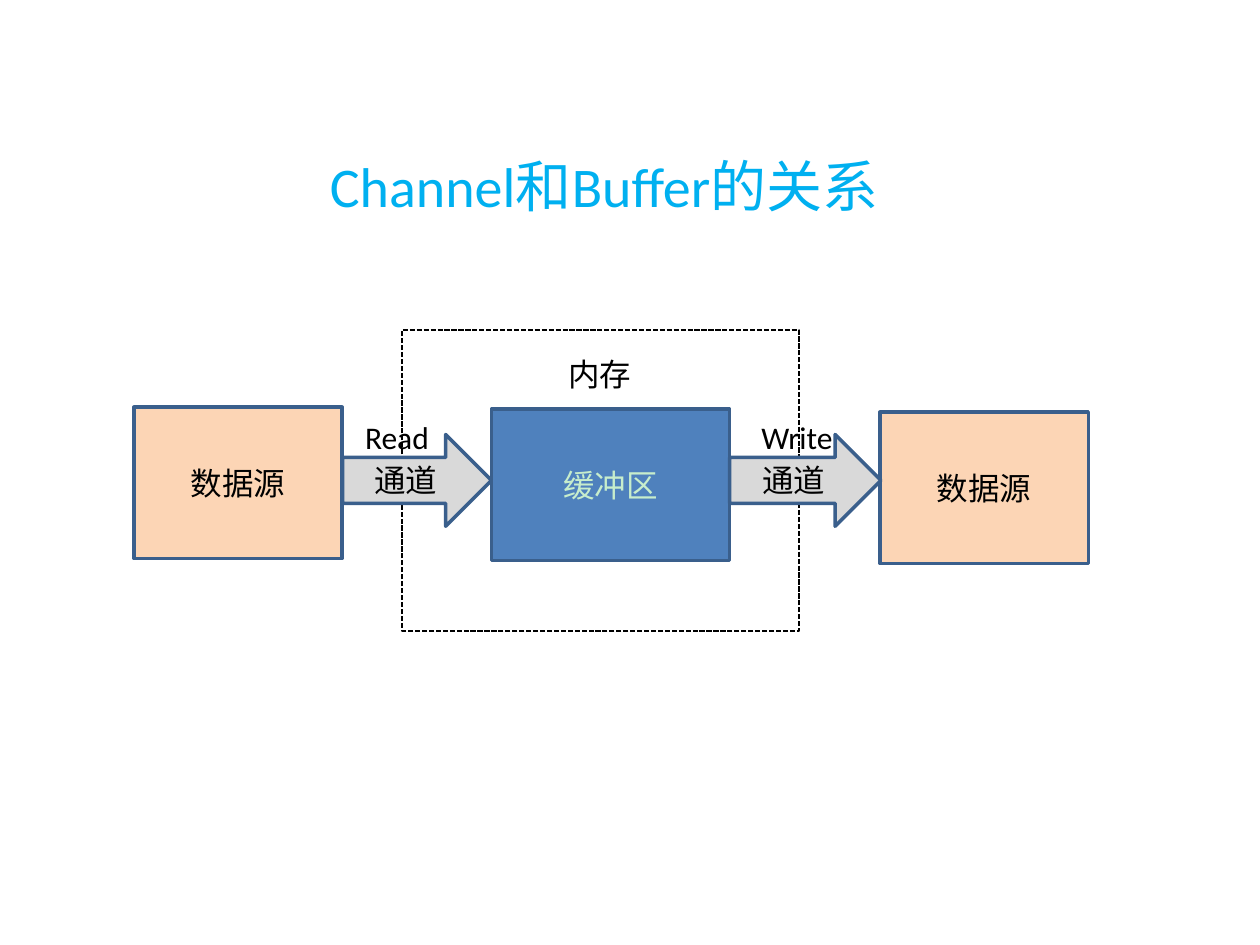
from pptx import Presentation
from pptx.dml.color import RGBColor
from pptx.enum.dml import MSO_LINE
from pptx.enum.shapes import MSO_SHAPE
from pptx.enum.text import MSO_ANCHOR, PP_ALIGN
from pptx.util import Cm, Pt

RECTANGLE = MSO_SHAPE.RECTANGLE
RIGHT_ARROW = MSO_SHAPE.RIGHT_ARROW
DASH = MSO_LINE.SQUARE_DOT
MIDDLE = MSO_ANCHOR.MIDDLE
CENTER = PP_ALIGN.CENTER

FONT = "Calibri"
BLACK = "000000"
OUTLINE = "3A5F8C"
PEACH = "FCD5B5"
BLUE = "4F81BD"
GREY = "D9D9D9"
MINT = "C7EDCC"
SKY = "00B0F0"


def color(hex_value):
    """Return the colour for a hex string."""
    return RGBColor.from_string(hex_value)


def write(shape, text, text_color, size=18):
    """Put one line of text into a shape and return its paragraph."""
    paragraph = shape.text_frame.paragraphs[0]
    paragraph.text = text
    paragraph.font.name = FONT
    paragraph.font.size = Pt(size)
    paragraph.font.color.rgb = color(text_color)
    return paragraph


def add_block(slide, kind, box, fill, text, text_color=BLACK):
    """Add a filled, outlined shape with centred text."""
    shape = slide.shapes.add_shape(kind, *map(Cm, box))
    shape.shadow.inherit = False
    shape.fill.solid()
    shape.fill.fore_color.rgb = color(fill)
    shape.line.color.rgb = color(OUTLINE)
    shape.line.width = Pt(2)
    shape.text_frame.vertical_anchor = MIDDLE
    write(shape, text, text_color).alignment = CENTER


def add_label(slide, box, text, text_color=BLACK, size=18, wrap=False):
    """Add a plain text box."""
    label = slide.shapes.add_textbox(*map(Cm, box))
    label.text_frame.word_wrap = wrap
    write(label, text, text_color, size)


def add_memory_frame(slide, box):
    """Add the dashed outline of the memory area."""
    frame = slide.shapes.add_shape(RECTANGLE, *map(Cm, box))
    frame.shadow.inherit = False
    frame.fill.background()
    frame.line.color.rgb = color(BLACK)
    frame.line.width = Pt(1)
    frame.line.dash_style = DASH


def add_diagram(slide, left, top):
    """Add the flow from source through buffer to source."""
    add_memory_frame(slide, (left + 5.41, top, 8, 6.07))
    blocks = [
        (0, 1.56, 4.2, PEACH, "数据源", BLACK),
        (7.21, 1.6, 4.8, BLUE, "缓冲区", MINT),
        (15.04, 1.66, 4.2, PEACH, "数据源", BLACK),
    ]
    for x, y, width, fill, text, text_color in blocks:
        box = (left + x, top + y, width, 3.05)
        add_block(slide, RECTANGLE, box, fill, text, text_color)
    add_label(slide, (left + 8.51, top + 0.38, 1.8, 1.02), "内存")
    channels = [
        (4.21, 3, 0.2, 1.8, "Read"),
        (12.01, 3.05, 0.39, 2.1, "Write"),
    ]
    for x, width, offset, label_width, text in channels:
        box = (left + x, top + 2.11, width, 1.85)
        add_block(slide, RIGHT_ARROW, box, GREY, "通道")
        label_box = (left + x + offset, top + 1.65, label_width, 1.02)
        add_label(slide, label_box, text)


def main():
    """Build and save the presentation."""
    presentation = Presentation()
    presentation.slide_width = Cm(25.4)
    presentation.slide_height = Cm(19.05)
    slide = presentation.slides.add_slide(presentation.slide_layouts[6])
    add_diagram(slide, 2.7, 6.65)
    title_box = (6.4, 2.92, 11.71, 1.63)
    add_label(slide, title_box, "Channel和Buffer的关系", SKY, 32, True)
    presentation.save("out.pptx")


main()
